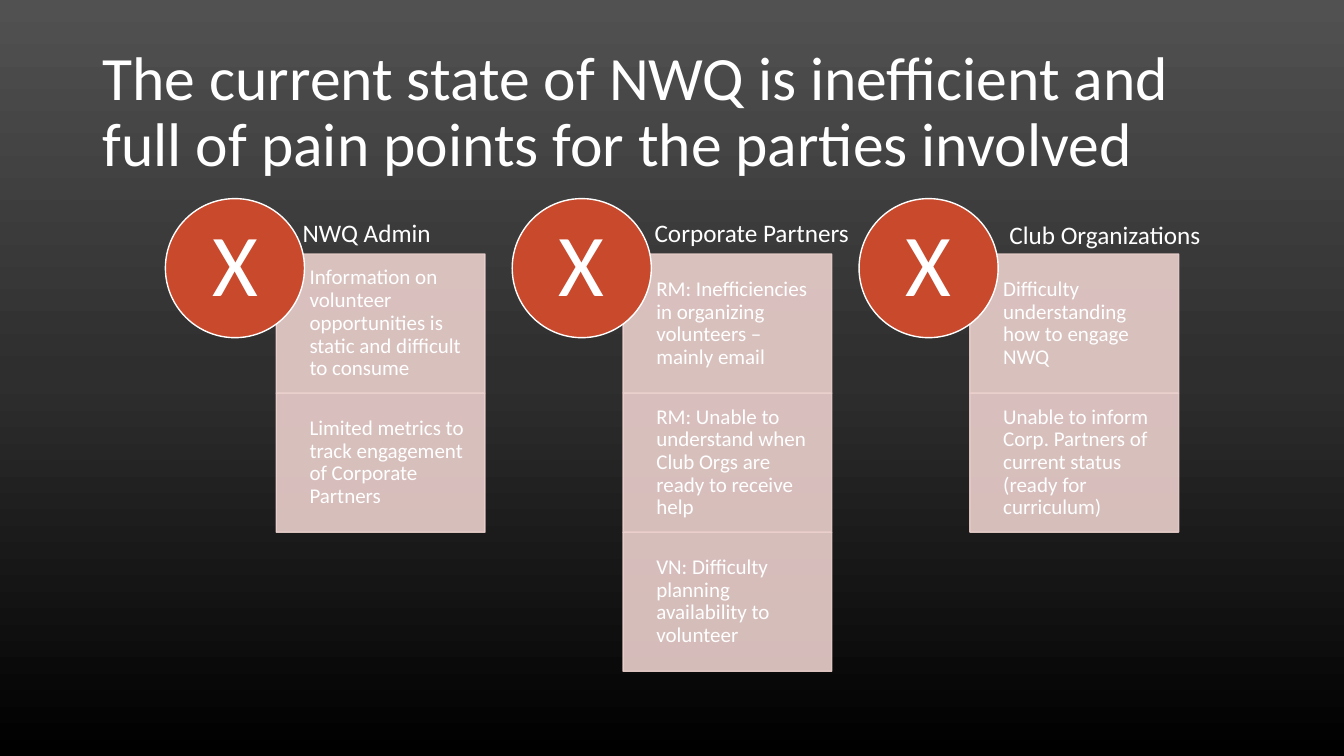
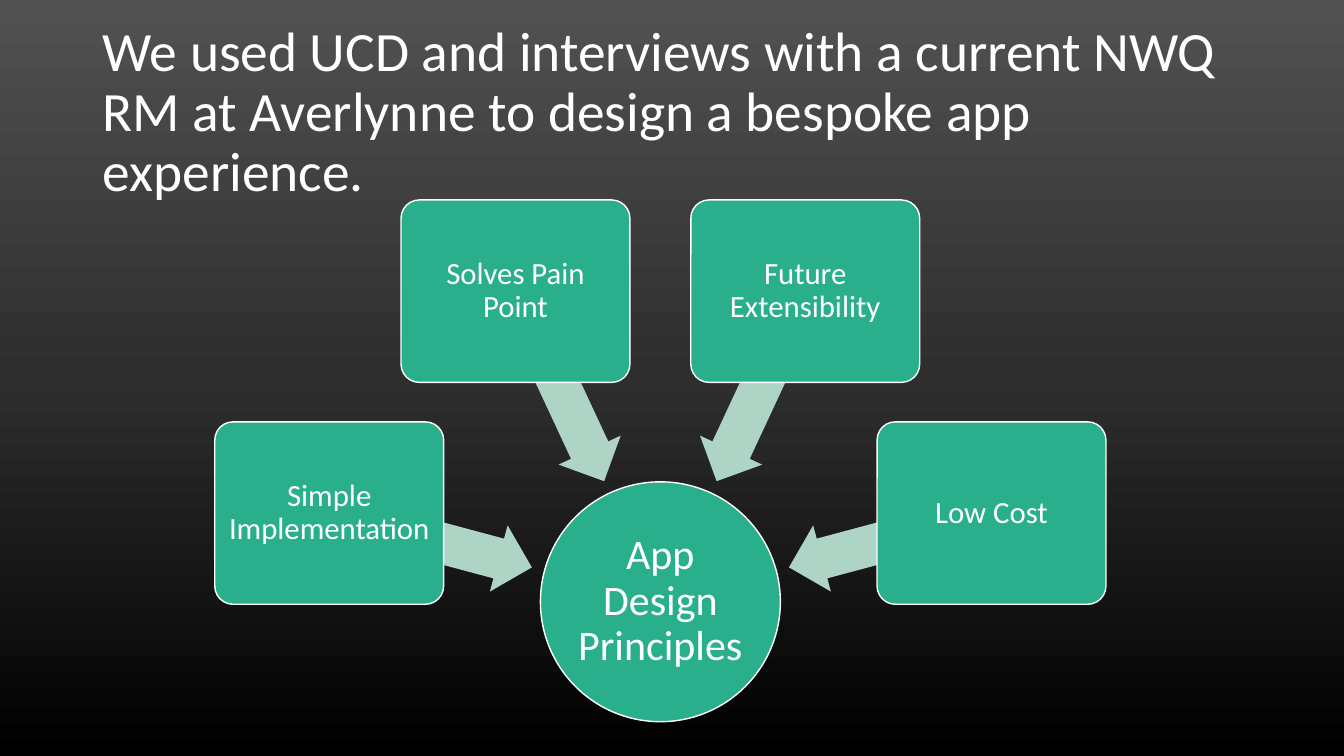
from copy import deepcopy
from math import cos, radians, sin

from pptx import Presentation
from pptx.dml.color import RGBColor
from pptx.enum.shapes import MSO_SHAPE
from pptx.enum.text import MSO_ANCHOR, PP_ALIGN
from pptx.oxml.ns import qn
from pptx.util import Inches, Pt

# Content: party, label place (left, top, width), pain points
PAIN_TITLE = ("The current state of NWQ is inefficient and full of pain points "
              "for the parties involved")
PARTIES = [
    ("NWQ Admin", (2.88, 2.06, 1.88), [
        "Information on volunteer opportunities is static and difficult to consume",
        "Limited metrics to track engagement of Corporate Partners"]),
    ("Corporate Partners", (6.37, 2.06, 2.22), [
        "RM: Inefficiencies in organizing volunteers – mainly email",
        "RM: Unable to understand when Club Orgs are ready to receive help",
        "VN: Difficulty planning availability to volunteer"]),
    ("Club Organizations", (9.89, 2.08, 2.22), [
        "Difficulty understanding how to engage NWQ",
        "Unable to inform Corp. Partners of current status (ready for curriculum)"]),
]
DESIGN_TITLE = ("We used UCD and interviews with a current NWQ RM at Averlynne "
                "to design a bespoke app experience.")
HUB = "App Design Principles"
PRINCIPLES = ["Simple Implementation", "Solves Pain Point",
              "Future Extensibility", "Low Cost"]

# Shared style
FONT = "Calibri"
WHITE, ROSE, RED, GREEN, MINT = "FFFFFF", "EBD0CD", "C9492C", "29AF8C", "ADD4C5"
BACKDROP = [(0, "515151"), (0.5, "2E2E2E"), (1, "000000")]


def paint(color_format, color):
    color_format.rgb = RGBColor.from_string(color)


def fade(shape, percent):
    for color in shape.element.spPr.iter(qn("a:srgbClr")):
        color.append(color.makeelement(qn("a:alpha"), {"val": str(percent * 1000)}))


def write(shape, text, size, align=PP_ALIGN.LEFT, spacing=0.9, insets=None):
    frame = shape.text_frame
    frame.word_wrap = True
    frame.vertical_anchor = MSO_ANCHOR.MIDDLE
    if insets:
        (frame.margin_left, frame.margin_top,
         frame.margin_right, frame.margin_bottom) = map(Inches, insets)
    frame.text = text
    paragraph = frame.paragraphs[0]
    paragraph.alignment = align
    paragraph.line_spacing = spacing
    font = paragraph.runs[0].font
    font.name, font.size = FONT, Pt(size)
    paint(font.color, WHITE)


def add_figure(slide, kind, left, top, width, height, fill=None, line=None):
    shape = slide.shapes.add_shape(kind, *map(Inches, (left, top, width, height)))
    shape.shadow.inherit = False
    if fill:
        shape.fill.solid()
        paint(shape.fill.fore_color, fill)
    else:
        shape.fill.background()
    if line:
        paint(shape.line.color, line)
        shape.line.width = Pt(1)
    else:
        shape.line.fill.background()
    return shape


def add_titled_slide(title, size):
    slide = prs.slides.add_slide(prs.slide_layouts[6])
    box = slide.shapes.add_textbox(*map(Inches, (0.92, 0.4, 11.5, 1.45)))
    write(box, title, size)
    return slide


prs = Presentation()
prs.slide_width, prs.slide_height = Inches(13.33), Inches(7.5)

# Gradient backdrop on the master
backdrop = prs.slide_master.background.fill
backdrop.gradient()
backdrop.gradient_angle = 270
stop_list = next(prs.slide_master.element.iter(qn("a:gsLst")))
stop_list.append(deepcopy(stop_list[-1]))
for stop, (position, color) in zip(backdrop.gradient_stops, BACKDROP):
    stop.position = position
    paint(stop.color, color)

# Slide 1: a column of pain points per party
CARD_W, CARD_H, CARD_TOP = 2.07, 1.38, 2.52
BADGE_LEFT, BADGE_TOP, BADGE = 1.64, 1.97, 1.38
COLUMN_STEP, CARD_SHIFT = 3.44, 1.1

pain_slide = add_titled_slide(PAIN_TITLE, 44)
for column, (party, (label_left, label_top, label_w), points) in enumerate(PARTIES):
    left = BADGE_LEFT + column * COLUMN_STEP
    for row, point in enumerate(points):
        card = add_figure(pain_slide, MSO_SHAPE.RECTANGLE, left + CARD_SHIFT,
                          CARD_TOP + row * CARD_H, CARD_W, CARD_H, ROSE, ROSE)
        fade(card, 90)
        write(card, point, 15, insets=(0.33, 0.12, 0.12, 0.12))
    badge = add_figure(pain_slide, MSO_SHAPE.OVAL, left, BADGE_TOP, BADGE, BADGE,
                       RED, WHITE)
    write(badge, "X", 63, PP_ALIGN.CENTER, insets=(0, 0, 0, 0))
    label = add_figure(pain_slide, MSO_SHAPE.ROUNDED_RECTANGLE,
                       label_left, label_top, label_w, 0.49)
    write(label, party, 18, spacing=1)

# Slide 2: principles on an arc around the hub
HUB_X, HUB_Y, HUB_SIZE = 6.55, 5.97, 2.38
CARD_RADIUS, ARROW_RADIUS = 3.4, 2.36
PRINCIPLE_W, PRINCIPLE_H, ARROW_W, ARROW_H = 2.27, 1.81, 2.08, 0.68
FIRST_ANGLE, ANGLE_STEP = 195, 50


def add_around_hub(kind, angle, radius, width, height, fill, line=None):
    center_x = HUB_X + radius * cos(radians(angle))
    center_y = HUB_Y + radius * sin(radians(angle))
    return add_figure(design_slide, kind, center_x - width / 2,
                      center_y - height / 2, width, height, fill, line)


design_slide = add_titled_slide(DESIGN_TITLE, 39.6)
hub = add_around_hub(MSO_SHAPE.OVAL, 0, 0, HUB_SIZE, HUB_SIZE, GREEN, WHITE)
write(hub, HUB, 30, PP_ALIGN.CENTER, insets=(0.02,) * 4)
for index, principle in enumerate(PRINCIPLES):
    angle = FIRST_ANGLE + index * ANGLE_STEP
    arrow = add_around_hub(MSO_SHAPE.LEFT_ARROW, angle, ARROW_RADIUS,
                           ARROW_W, ARROW_H, MINT)
    arrow.rotation = angle
    arrow.adjustments[0], arrow.adjustments[1] = 0.6, 0.5
    card = add_around_hub(MSO_SHAPE.ROUNDED_RECTANGLE, angle, CARD_RADIUS,
                          PRINCIPLE_W, PRINCIPLE_H, GREEN, WHITE)
    card.adjustments[0] = 0.1
    write(card, principle, 22, PP_ALIGN.CENTER, insets=(0.05,) * 4)

prs.save("out.pptx")
